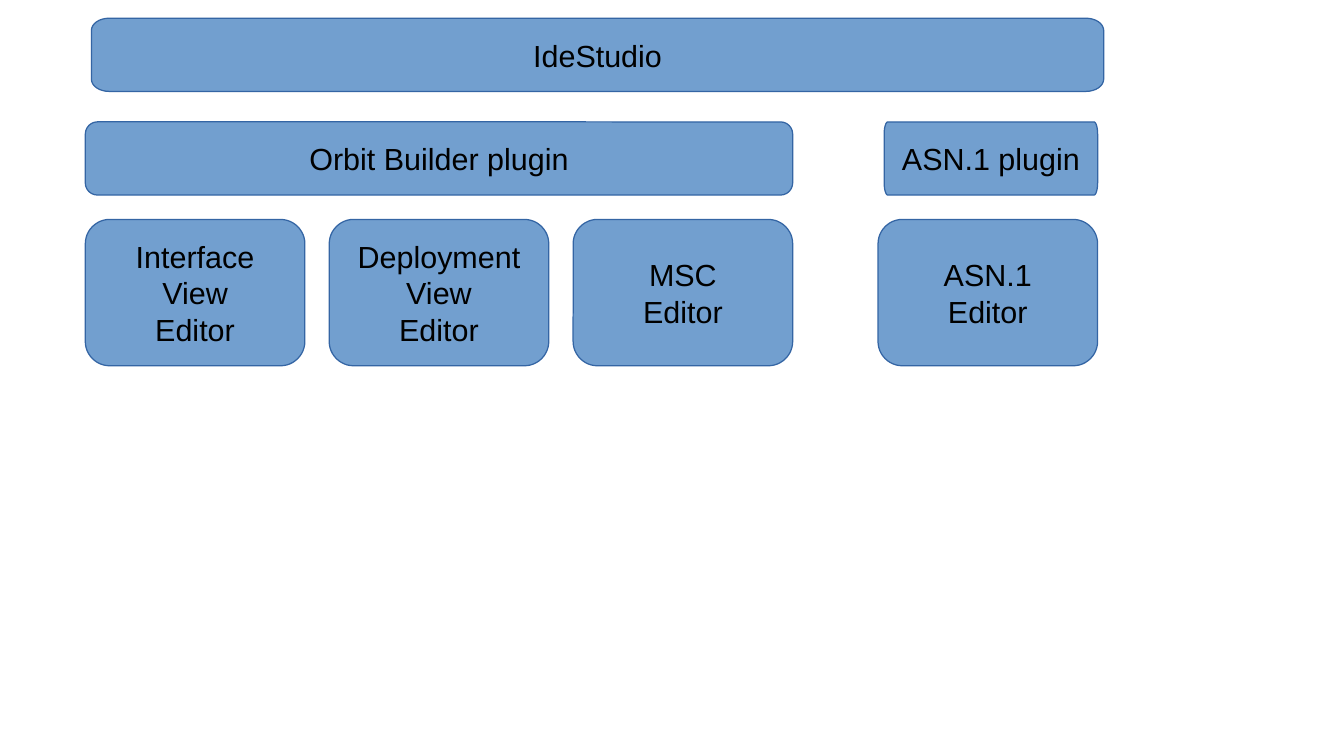
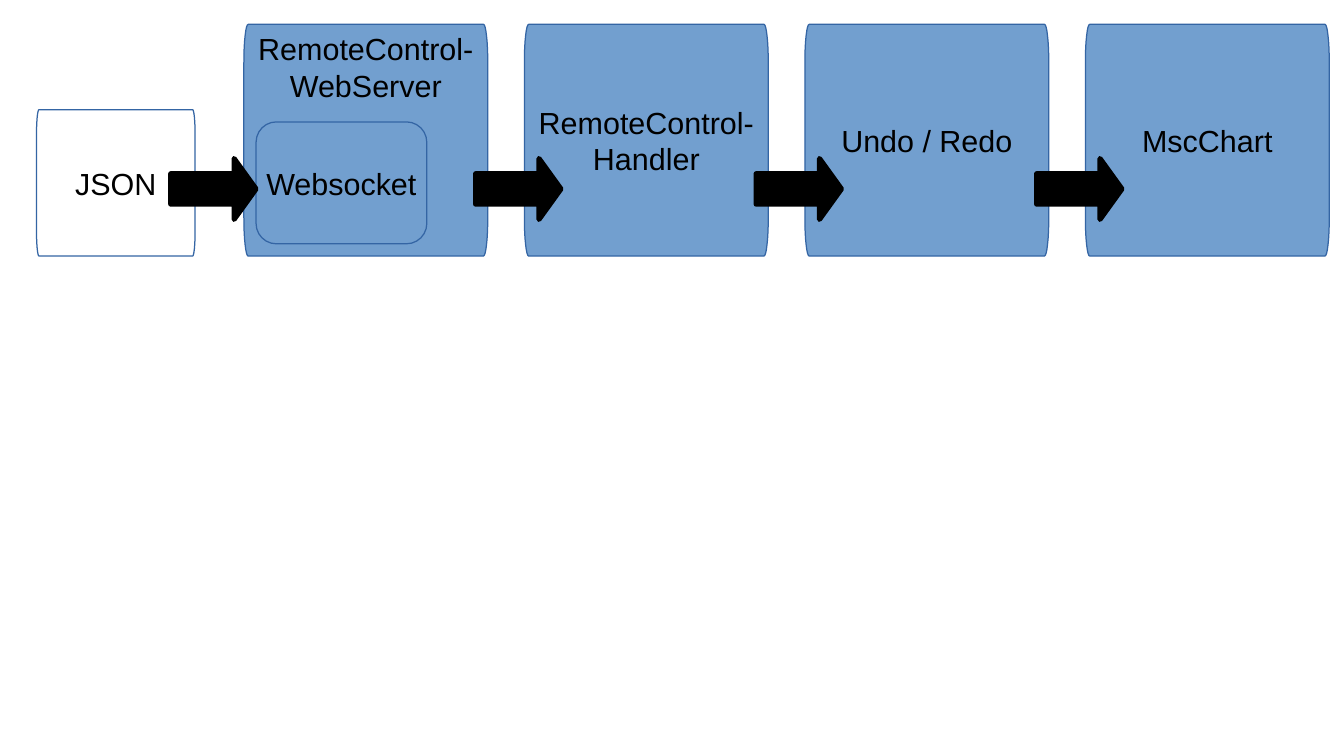
import math

import lxml.etree
import pptx
import pptx.dml.color
import pptx.enum.shapes
import pptx.enum.text
import pptx.oxml.ns
import pptx.util

SHAPE = pptx.enum.shapes.MSO_SHAPE
ANCHOR = pptx.enum.text.MSO_ANCHOR
CELL = 0.1  # grid cell in inches

COLORS = {"box": "729FCF", "edge": "3465A4", "text": "000000",
          "arrow": "000000", "plain": "FFFFFF"}
FONT = {"name": "Arial", "size": pptx.util.Pt(18)}
FRAME = {"word_wrap": False,
         "margin_left": pptx.util.Inches(0.1), "margin_right": pptx.util.Inches(0.1),
         "margin_top": pptx.util.Inches(0.05), "margin_bottom": pptx.util.Inches(0.05)}


def set_all(obj, values):
    for name, value in values.items():
        setattr(obj, name, value)


def rgb(name):
    return pptx.dml.color.RGBColor.from_string(COLORS[name])


def grid(*cells):
    return [pptx.util.Inches(n * CELL) for n in cells]


class Deck:
    """Style and current slide; lengths are columns and rows of the grid."""

    def __init__(self, width, height):
        self.prs = pptx.Presentation()
        self.prs.slide_width = pptx.util.Inches(width)
        self.prs.slide_height = pptx.util.Inches(height)
        self.slide = None

    def new_slide(self):
        self.slide = self.prs.slides.add_slide(self.prs.slide_layouts[6])

    def paint(self, sp, fill, line, width):
        sp.shadow.inherit = False
        sp.fill.solid()
        sp.fill.fore_color.rgb = rgb(fill)
        sp.line.color.rgb = rgb(line)
        sp.line.width = pptx.util.Pt(width)

    def oval_corners(self, col, row, cols, rows, rx, ry, steps=8):
        """Outline of a box whose corners are quarter ellipses."""
        left, right = col + rx, col + cols - rx
        top, bottom = row + ry, row + rows - ry
        centers = [(left, top), (right, top), (right, bottom), (left, bottom)]
        points = []
        for k, (cx, cy) in enumerate(centers):
            for i in range(steps + 1):
                a = math.pi * (1 + (k + i / steps) / 2)
                points.append(grid(cx + rx * math.cos(a), cy + ry * math.sin(a)))
        builder = self.slide.shapes.build_freeform(*points[0])
        builder.add_line_segments(points[1:], close=True)
        return builder.convert_to_shape()

    def box(self, text, col, row, cols, rows, rx=None, fill="box", anchor=ANCHOR.MIDDLE):
        """Box with corners a sixth of its short side, rx wide if given."""
        ry = min(cols, rows) / 6
        if rx is None:
            sp = self.slide.shapes.add_shape(
                SHAPE.ROUNDED_RECTANGLE, *grid(col, row, cols, rows))
            sp.adjustments[0] = 1 / 6
        else:
            sp = self.oval_corners(col, row, cols, rows, rx, ry)
        self.paint(sp, fill, "edge", 0)
        self.label(sp.text_frame, text, anchor)

    def label(self, tf, text, anchor):
        set_all(tf, FRAME)
        tf.vertical_anchor = anchor
        for i, line in enumerate(text.split("\n")):
            p = tf.add_paragraph() if i else tf.paragraphs[0]
            p.alignment = pptx.enum.text.PP_ALIGN.CENTER
            r = p.add_run()
            r.text = line
            set_all(r.font, FONT)
            r.font.color.rgb = rgb("text")

    def arrow(self, col, row, cols, rows):
        sp = self.slide.shapes.add_shape(SHAPE.RIGHT_ARROW, *grid(col, row, cols, rows))
        sp.adjustments[0] = 0.5
        sp.adjustments[1] = 0.36
        self.paint(sp, "arrow", "arrow", 3)
        # Round line joins
        ln = sp.element.spPr.find(pptx.oxml.ns.qn("a:ln"))
        lxml.etree.SubElement(ln, pptx.oxml.ns.qn("a:round"))


def plugin_layers(deck):
    deck.new_slide()
    # Host application and its plugins
    deck.box("IdeStudio", 7.5, 1.5, 83, 6, rx=1.45)
    deck.box("Orbit Builder plugin", 7, 10, 58, 6)
    deck.box("ASN.1 plugin", 72.5, 10, 17.5, 6, rx=0.3)
    # Editors
    editors = ["Interface\nView\nEditor", "Deployment\nView\nEditor", "MSC\nEditor"]
    for i, text in enumerate(editors):
        deck.box(text, 7 + 20 * i, 18, 18, 12)
    deck.box("ASN.1\nEditor", 72, 18, 18, 12)


def remote_control_flow(deck):
    deck.new_slide()
    # Processing stages
    stages = ["RemoteControl-\nWebServer", "RemoteControl-\nHandler",
              "Undo / Redo", "MscChart"]
    first, step = 20, 23
    for i, text in enumerate(stages):
        anchor = ANCHOR.MIDDLE if i else ANCHOR.TOP
        deck.box(text, first + step * i, 2, 20, 19, rx=0.35, anchor=anchor)
    deck.box("Websocket", 21, 10, 14, 10)
    # Input message
    deck.box("JSON", 3, 9, 13, 12, rx=0.2, fill="plain")
    # Arrows into each stage
    for col in [14] + [first + step * i - 4 for i in range(1, len(stages))]:
        deck.arrow(col, 13, 7, 5)


def main():
    deck = Deck(11.02, 6.2)
    plugin_layers(deck)
    remote_control_flow(deck)
    deck.prs.save("out.pptx")


if __name__ == "__main__":
    main()
